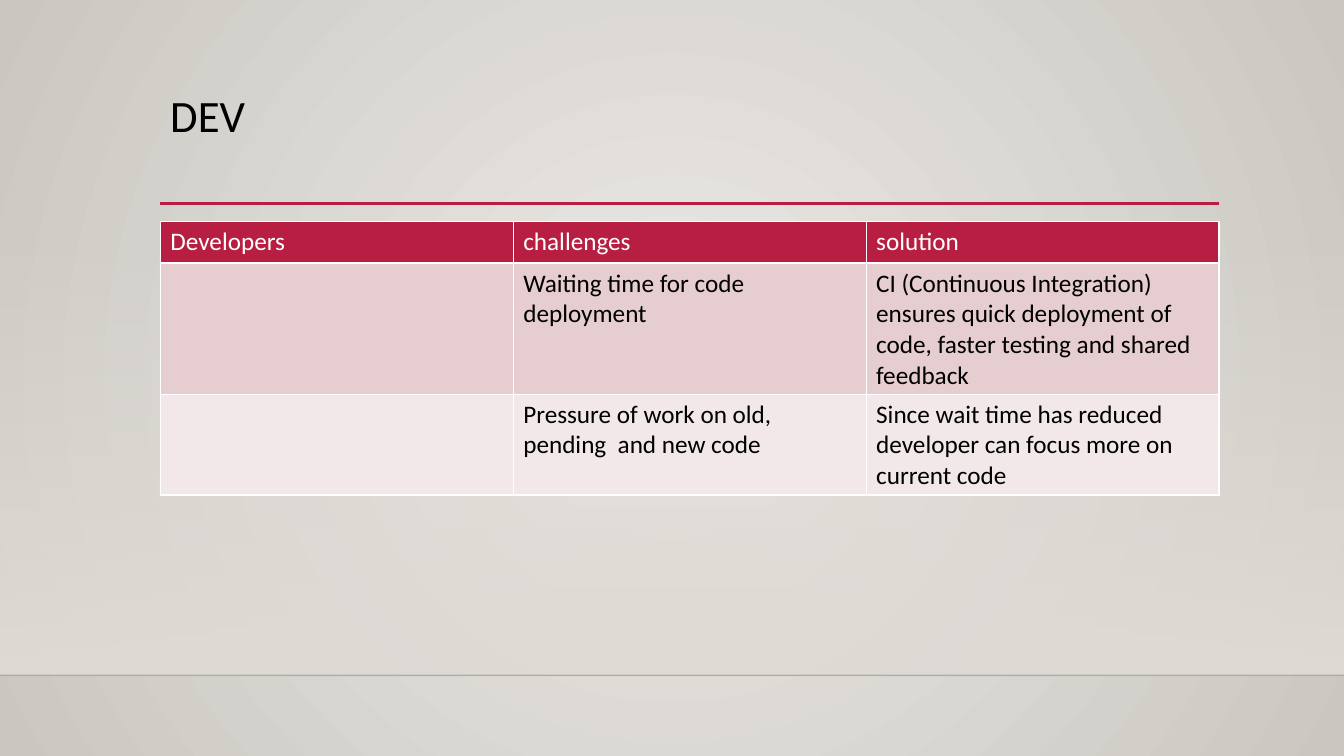
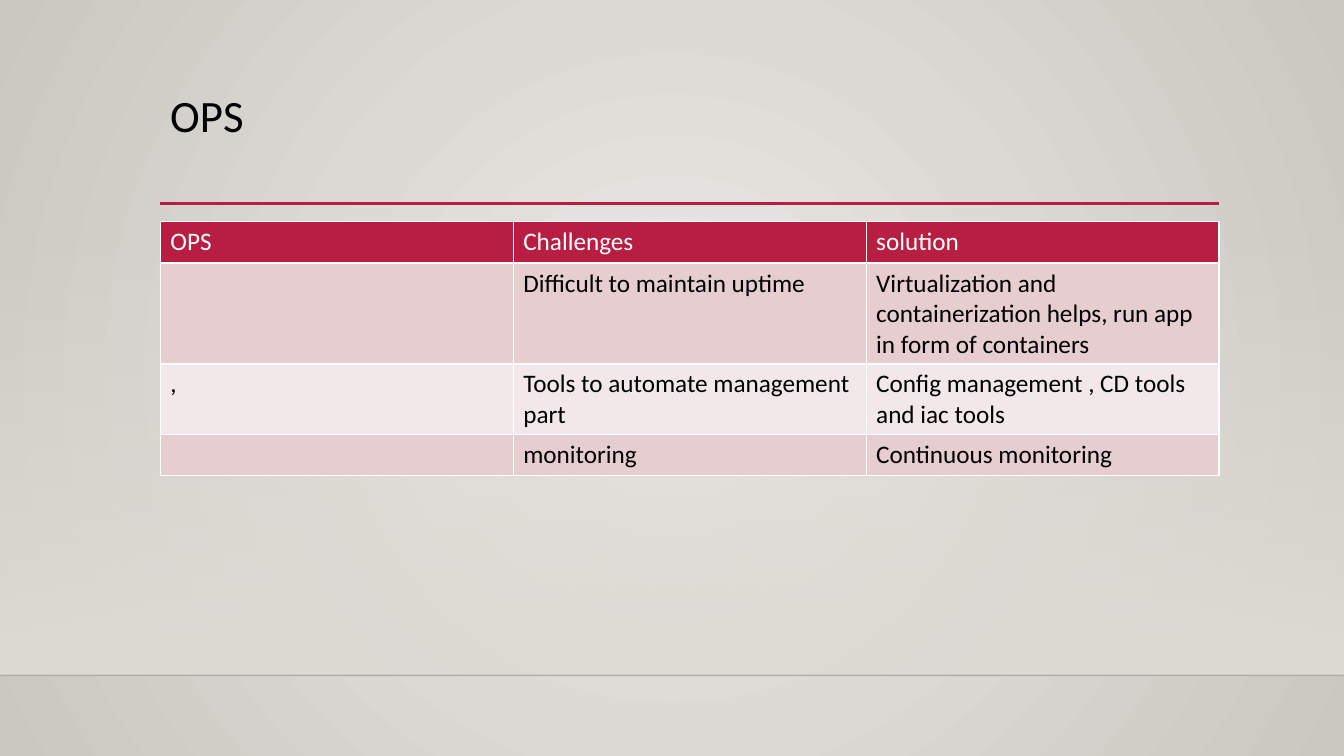
import pptx
import pptx.util
import pptx.oxml
import pptx.oxml.ns
import pptx.dml.color
import pptx.enum.shapes
import pptx.enum.text
import lxml.etree

Inches, Pt = pptx.util.Inches, pptx.util.Pt
RGB = pptx.dml.color.RGBColor.from_string
qn = pptx.oxml.ns.qn
NS = pptx.oxml.ns.nsdecls("a")

THEME = {
    "font": "Calibri", "title": 32, "body": 18,
    "ink": "000000", "white": "FFFFFF", "red": "B71E42",
    "bands": ["E6CDCF", "F3E8E9"],
    "glow": "ECEAE7", "edge": "CAC7C1", "floor": "DFDBD5", "rule": "000001",
}
WIDE, HIGH = 13.33, 7.5
LEFT, SPAN = 1.59, 10.5
FLOOR = 6.7
ROW = 0.41

DECK = [
    ("DEV", [
        ["Developers", "challenges", "solution"],
        ["", "Waiting time for code deployment",
         "CI (Continuous Integration) ensures quick deployment of code, "
         "faster testing and shared feedback"],
        ["", "Pressure of work on old, pending  and new code",
         "Since wait time has reduced developer can focus more on current code"],
    ]),
    ("OPS", [
        ["OPS", "Challenges", "solution"],
        ["", "Difficult to maintain uptime",
         "Virtualization and containerization helps, run app in form of containers"],
        [",", "Tools to automate management part",
         "Config management , CD tools and iac tools"],
        ["", "monitoring", "Continuous monitoring"],
    ]),
]


def blend(item, root, stops, shade):
    """Fill item with a gradient of (position, colour, opacity) stops."""
    item.fill.gradient()
    marks = "".join(
        f'<a:gs pos="{pos * 1000}"><a:srgbClr val="{tone}">'
        f'<a:alpha val="{alpha * 1000}"/></a:srgbClr></a:gs>'
        for pos, tone, alpha in stops)
    old = root.find(".//" + qn("a:gradFill"))
    new = pptx.oxml.parse_xml(
        f'<a:gradFill {NS} rotWithShape="1"><a:gsLst>{marks}</a:gsLst>{shade}</a:gradFill>')
    old.getparent().replace(old, new)


def write(frame, text, size, tone):
    para = frame.paragraphs[0]
    para.text = text
    look = {"name": THEME["font"], "size": Pt(size), "bold": False}
    for key, value in look.items():
        setattr(para.font, key, value)
    para.font.color.rgb = RGB(tone)
    return para


deck = pptx.Presentation()
deck.slide_width, deck.slide_height = Inches(WIDE), Inches(HIGH)
blank = deck.slide_layouts[6]
base = deck.slide_master
blend(base.background, base.element,
      [(0, THEME["glow"], 100), (100, THEME["edge"], 100)],
      '<a:path path="circle"><a:fillToRect l="50000" t="50000" r="50000" b="50000"/></a:path>')

for title, rows in DECK:
    slide = deck.slides.add_slide(blank)
    shapes = slide.shapes

    wall = shapes.add_shape(pptx.enum.shapes.MSO_SHAPE.RECTANGLE,
                            0, Inches(2.21), Inches(WIDE), Inches(FLOOR - 2.21))
    wall.shadow.inherit = False
    wall.line.fill.background()
    blend(wall, wall.element, [(0, THEME["floor"], 0), (100, THEME["floor"], 100)],
          '<a:lin ang="5400000" scaled="0"/>')

    for start, end, top, tone, width, alpha in [
            (0, WIDE, FLOOR, THEME["rule"], 1, 20),
            (LEFT, LEFT + SPAN, 2.02, THEME["red"], 2.5, 100)]:
        line = shapes.add_connector(pptx.enum.shapes.MSO_CONNECTOR.STRAIGHT,
                                    Inches(start), Inches(top), Inches(end), Inches(top))
        line.line.color.rgb = RGB(tone)
        line.line.width = Pt(width)
        clear = lxml.etree.SubElement(line.element.find(".//" + qn("a:srgbClr")), qn("a:alpha"))
        clear.set("val", str(alpha * 1000))
        lxml.etree.SubElement(line.element.spPr, qn("a:effectLst"))

    head = shapes.add_textbox(Inches(LEFT), Inches(0.88), Inches(SPAN), Inches(1.15))
    head.text_frame.word_wrap = True
    head.text_frame.vertical_anchor = pptx.enum.text.MSO_ANCHOR.TOP
    write(head.text_frame, title, THEME["title"], THEME["ink"]).line_spacing = 0.9

    grid = shapes.add_table(len(rows), len(rows[0]), Inches(LEFT), Inches(2.2),
                            Inches(SPAN), Inches(ROW * len(rows))).table
    grid.first_row = grid.horz_banding = False
    for r, row in enumerate(rows):
        grid.rows[r].height = Inches(ROW)
        back = THEME["bands"][(r - 1) % 2] if r else THEME["red"]
        tone = THEME["ink"] if r else THEME["white"]
        for c, text in enumerate(row):
            cell = grid.cell(r, c)
            cell.fill.solid()
            cell.fill.fore_color.rgb = RGB(back)
            write(cell.text_frame, text, THEME["body"], tone)
            for spot, side in enumerate("LRTB"):
                edge = pptx.oxml.parse_xml(
                    f'<a:ln{side} {NS} w="{Pt(1)}"><a:solidFill>'
                    f'<a:srgbClr val="{THEME["white"]}"/></a:solidFill></a:ln{side}>')
                cell.fill  # fill stays after the borders
                cell._tc.get_or_add_tcPr().insert(spot, edge)

deck.save("out.pptx")
